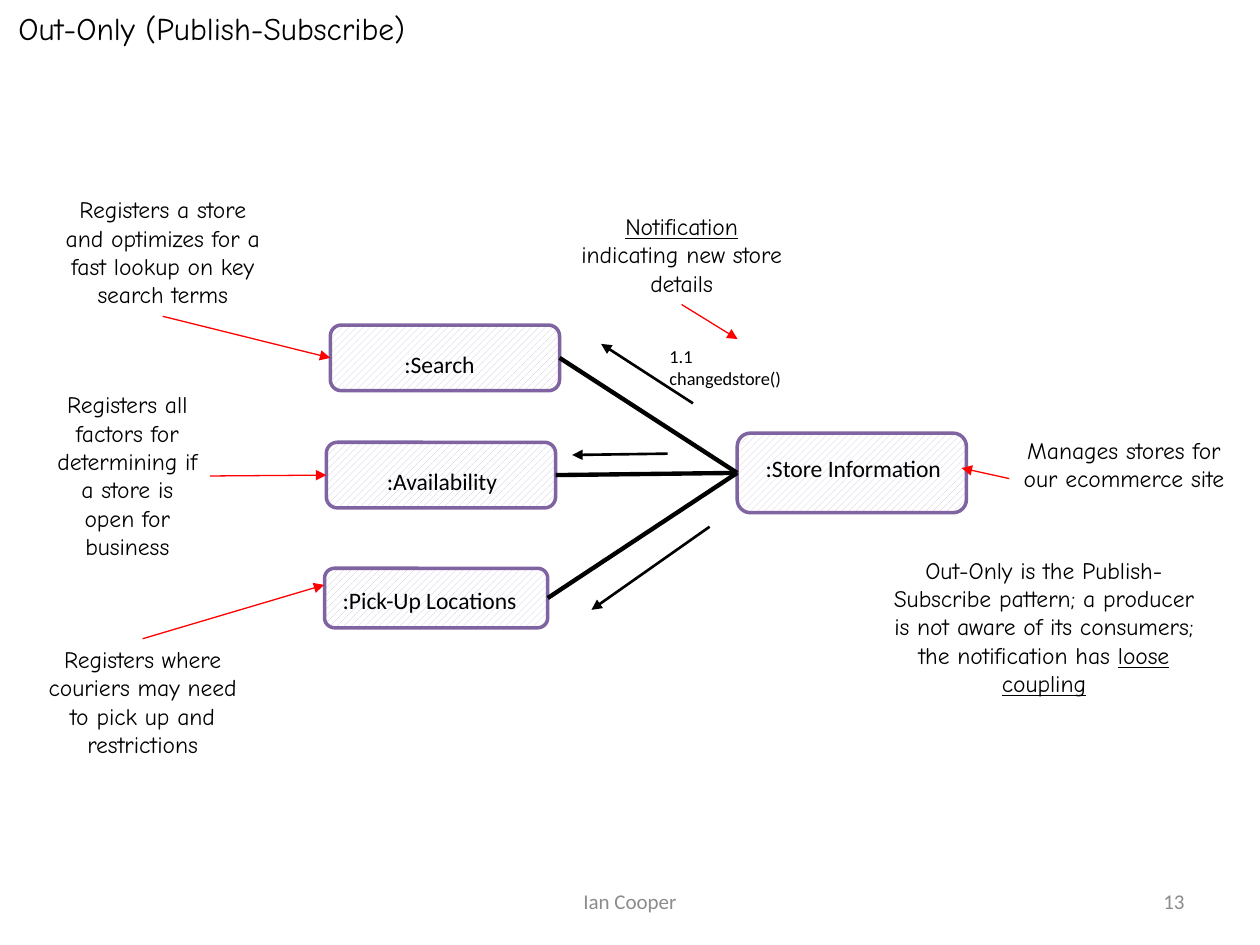
from lxml import etree
from pptx import Presentation
from pptx.dml.color import RGBColor
from pptx.enum.dml import MSO_PATTERN
from pptx.enum.shapes import MSO_CONNECTOR, MSO_SHAPE
from pptx.enum.text import MSO_ANCHOR, PP_ALIGN
from pptx.oxml.ns import qn
from pptx.util import Pt

HATCH = MSO_PATTERN.WIDE_UPWARD_DIAGONAL
STRAIGHT = MSO_CONNECTOR.STRAIGHT
ROUND = MSO_SHAPE.ROUNDED_RECTANGLE
LEFT, MID, RIGHT = PP_ALIGN.LEFT, PP_ALIGN.CENTER, PP_ALIGN.RIGHT
TOP, CENTER = MSO_ANCHOR.TOP, MSO_ANCHOR.MIDDLE
NORTH, WEST, SOUTH, EAST = range(4)

NOTE = {"name": "Comic Neue", "size": Pt(13.5)}
TITLE = {"name": "Comic Neue", "size": Pt(18)}
LABEL = {"name": "Calibri", "size": Pt(13.5)}
CALL = {"name": "Calibri", "size": Pt(10.5)}
FOOT = {"name": "Calibri", "size": Pt(12)}


def rgb(code):
    return RGBColor.from_string(code)


def add_text(slide, at, runs, form, align=LEFT, color="000000", anchor=TOP):
    """Add a text box; runs are (text, underlined) pairs or one string."""
    box = slide.shapes.add_textbox(*map(Pt, at))
    frame = box.text_frame
    frame.word_wrap = True
    frame.vertical_anchor = anchor
    para = frame.paragraphs[0]
    para.alignment = align
    for text, under in [(runs, False)] if isinstance(runs, str) else runs:
        run = para.add_run()
        run.text = text
        for key, value in {**form, "underline": under}.items():
            setattr(run.font, key, value)
        run.font.color.rgb = rgb(color)
    return box


def add_node(slide, at, name, spot):
    """Add a hatched box with its name in a text box at spot."""
    node = slide.shapes.add_shape(ROUND, *map(Pt, at))
    node.shadow.inherit = False
    node.fill.patterned()
    node.fill.pattern = HATCH
    node.fill.fore_color.rgb = rgb("CCC1DA")
    node.fill.back_color.rgb = rgb("FFFFFF")
    node.line.color.rgb = rgb("8064A2")
    node.line.width = Pt(2)
    add_text(slide, spot, name, LABEL)
    return node


def add_line(slide, start, end, color, width, arrow=True):
    """Join two ends, each a point (x, y) or a pair (shape, side)."""
    ends = [(0, 0) if hasattr(e[0], "shape_id") else e for e in (start, end)]
    line = slide.shapes.add_connector(
        STRAIGHT, *(Pt(v) for point in ends for v in point))
    for (first, side), join in ((start, line.begin_connect),
                                (end, line.end_connect)):
        if hasattr(first, "shape_id"):
            join(first, side)
    line.line.color.rgb = rgb(color)
    line.line.width = Pt(width)
    if arrow:
        tail = etree.SubElement(line.line._get_or_add_ln(), qn("a:tailEnd"))
        tail.set("type", "triangle")
    etree.SubElement(line._element.spPr, qn("a:effectLst"))


def main():
    deck = Presentation()
    deck.slide_width, deck.slide_height = Pt(720), Pt(540)
    slide = deck.slides.add_slide(deck.slide_layouts[6])

    title = add_text(slide, (0, 0, 720, 32.5),
                     "Out-Only (Publish-Subscribe)", TITLE)
    title.text_frame.margin_left = Pt(10.5)
    title.text_frame.margin_top = Pt(5)
    add_text(slide, (246, 500.5, 228, 28.75), "Ian Cooper", FOOT, MID,
             "8C8C8C", CENTER)
    add_text(slide, (516, 500.5, 168, 28.75), "13", FOOT, RIGHT,
             "8C8C8C", CENTER)

    search = add_node(slide, (188.75, 185.75, 131, 37.5), ":Search",
                      (224, 196.5, 69, 23.5))
    avail = add_node(slide, (186.5, 252.75, 131, 37.5), ":Availability",
                     (214, 263, 79, 23.5))
    pickup = add_node(slide, (185.5, 324.75, 127.5, 34), ":Pick-Up Locations",
                      (188.75, 331.25, 120, 23.5))
    store = add_node(slide, (421.25, 247.5, 131, 45.5), ":Store Information",
                     (430.5, 255.75, 119, 23.5))
    for node in (search, avail, pickup):
        add_line(slide, (store, WEST), (node, EAST), "000000", 2.5, False)

    for start, end in (((396, 230.5), (343.5, 196.5)),
                       ((381.5, 259.25), (327, 260)),
                       ((405.5, 301), (338, 348.5))):
        add_line(slide, start, end, "000000", 1.5)
    add_text(slide, (375.5, 193.75, 91.5, 32.5), "1.1 changedstore()", CALL)

    notes = (
        ((27.5, 108, 131, 72.75), "Registers a store and optimizes for a "
         "fast lookup on key search terms", SOUTH, (search, WEST)),
        ((25.5, 219.5, 94.5, 105), "Registers all factors for determining "
         "if a store is open for business", EAST, (avail, WEST)),
        ((16, 365, 131, 72.75), "Registers where couriers may need to pick "
         "up and restrictions", NORTH, (185.25, 334.25)),
        ((576.75, 245.5, 131, 56), "Manages stores for our ecommerce site",
         WEST, (549.5, 267.5)),
        ((324, 117.5, 131, 56.5), [("Notification", True),
         (" indicating new store details", False)], SOUTH, (421.5, 193.75)),
    )
    for at, text, side, end in notes:
        note = add_text(slide, at, text, NOTE, MID)
        add_line(slide, (note, side), end, "FF0000", 0.75)

    add_text(slide, (497.5, 314, 198, 89.25),
             [("Out-Only is the Publish-Subscribe pattern; a producer is not "
               "aware of its consumers; the notification has ", False),
              ("loose coupling", True)], NOTE, MID)
    deck.save("out.pptx")


if __name__ == "__main__":
    main()
